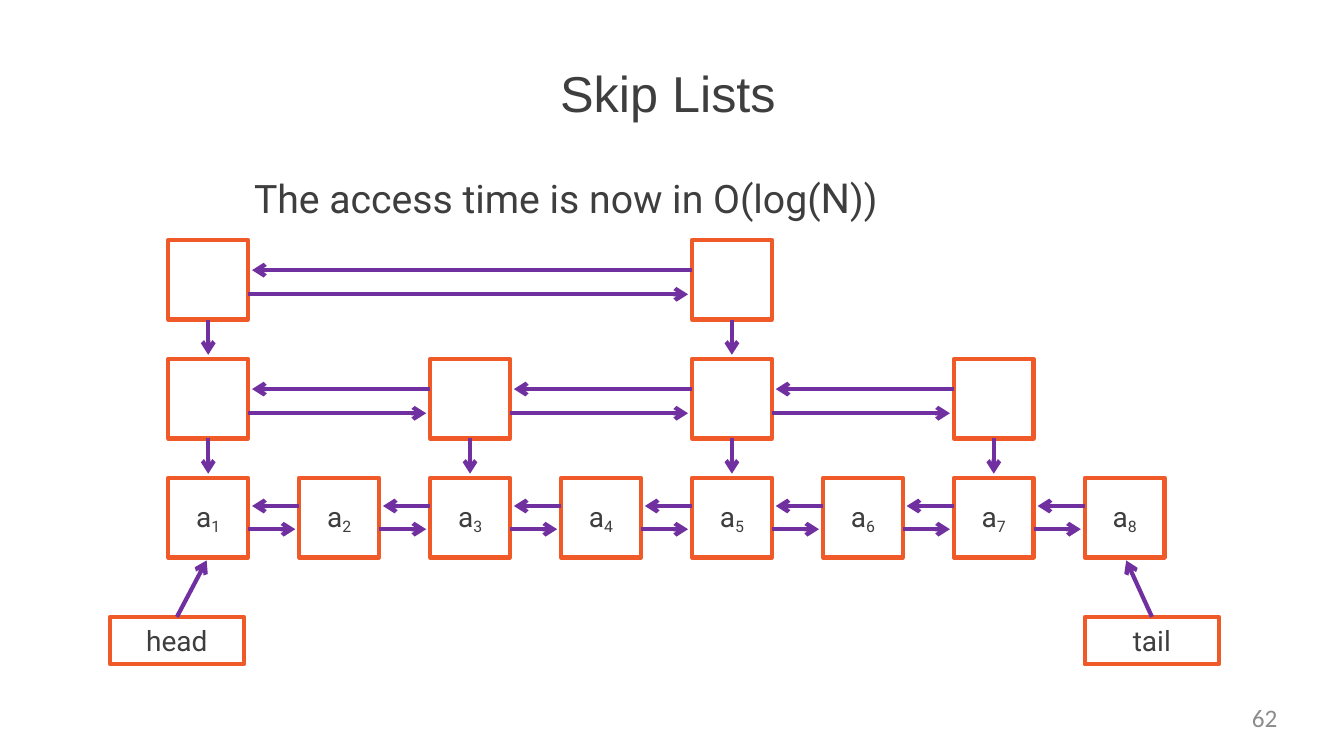
import pptx
import pptx.dml.color
import pptx.enum.shapes
import pptx.enum.text
import pptx.oxml
import pptx.oxml.ns
import pptx.util

Inches = pptx.util.Inches
Align = pptx.enum.text.PP_ALIGN
Anchor = pptx.enum.text.MSO_ANCHOR

ORANGE, PURPLE, DARK, GREY = "F05A28", "7030A0", "3E3E3E", "8C8C8C"
NODE = 0.79
TIP_GAP = 0.04
NODE_COUNT = 8


def colour(value):
    return pptx.dml.color.RGBColor.from_string(value)


def write(shape, parts, size, font="Roboto", ink=DARK, align=Align.CENTER, anchor=Anchor.MIDDLE):
    frame = shape.text_frame
    frame.margin_left = frame.margin_right = frame.margin_top = frame.margin_bottom = 0
    frame.vertical_anchor = anchor
    frame.word_wrap = False
    para = frame.paragraphs[0]
    para.alignment = align
    for part in parts:
        span = para.add_run()
        span.text = part
        span.font.name = font
        span.font.size = pptx.util.Pt(size)
        span.font.color.rgb = colour(ink)
    return para.runs


def add_text(page, box, parts, size, **style):
    shape = page.shapes.add_textbox(*map(Inches, box))
    return write(shape, parts, size, **style)


def add_frame(page, box):
    shape = page.shapes.add_shape(pptx.enum.shapes.MSO_SHAPE.RECTANGLE, *map(Inches, box))
    shape.shadow.inherit = False
    shape.fill.background()
    shape.line.color.rgb = colour(ORANGE)
    shape.line.width = pptx.util.Pt(3)
    return shape


def add_arrow(page, start, end):
    arrow = page.shapes.add_connector(
        pptx.enum.shapes.MSO_CONNECTOR.STRAIGHT, *map(Inches, start + end))
    arrow.line.color.rgb = colour(PURPLE)
    arrow.line.width = pptx.util.Pt(3)
    properties = arrow._element.spPr
    outline = properties.find(pptx.oxml.ns.qn("a:ln"))
    namespace = pptx.oxml.ns.nsdecls("a")
    outline.append(pptx.oxml.parse_xml(f'<a:tailEnd {namespace} type="arrow" w="med" len="med"/>'))
    properties.append(pptx.oxml.parse_xml(f"<a:effectLst {namespace}/>"))


def add_level(page, box, stride, back, forward, is_base):
    left, top, width, height = box
    pitch = (width - NODE) / (NODE_COUNT - 1)
    columns = [left + pitch * index for index in range(0, NODE_COUNT, stride)]
    for number, column in enumerate(columns, 1):
        node = add_frame(page, (column, top, NODE, NODE))
        if is_base:
            letter, index = write(node, ["a", str(number)], 20)
            index.font.size = pptx.util.Pt(19.5)
            index.font._element.set("baseline", "-21000")
        else:
            centre = column + NODE / 2
            add_arrow(page, (centre, top + NODE), (centre, top + height - TIP_GAP))
    for column, following in zip(columns, columns[1:]):
        edge = column + NODE
        add_arrow(page, (following, top + back), (edge + TIP_GAP, top + back))
        add_arrow(page, (edge, top + forward), (following - TIP_GAP, top + forward))


def add_skip_list(page, box):
    left, top, width, height = box
    step = (height - NODE) / 2
    for level, stride in enumerate((4, 2, 1)):
        is_base = stride == 1
        back, forward = (0.28, 0.51) if is_base else (0.3, 0.54)
        add_level(page, (left, top + level * step, width, step), stride, back, forward, is_base)


def add_pointer(page, box, label, target):
    left, top, width, height = box
    write(add_frame(page, box), [label], 20)
    add_arrow(page, (left + width / 2, top), target)


def add_heading(page, box):
    title = page.shapes.title
    title.left, title.top, title.width, title.height = map(Inches, box)
    write(title, ["Skip Lists"], 36, font="Arial")


def build_page(deck):
    page = deck.slides.add_slide(deck.slide_layouts[5])
    add_heading(page, (5.54, 0.6, 2.17, 0.63))
    claim = add_text(page, (2.52, 1.71, 6.2, 0.52), ["The access time is now in O(log(", "N", "))"],
                     28, align=Align.LEFT, anchor=Anchor.TOP)
    claim[1].font.size = pptx.util.Pt(29.5)
    add_skip_list(page, (1.67, 2.38, 9.88, 3.15))
    add_pointer(page, (1.09, 6.12, 1.33, 0.47), "head", (2.05, 5.56))
    add_pointer(page, (10.76, 6.12, 1.33, 0.47), "tail", (11.17, 5.56))
    add_text(page, (9.6, 6.97, 3.07, 0.38), ["62"], 18, font="Calibri", ink=GREY,
             align=Align.RIGHT, anchor=Anchor.TOP)


deck = pptx.Presentation()
deck.slide_width, deck.slide_height = Inches(13.33), Inches(7.5)
build_page(deck)
deck.save("out.pptx")
